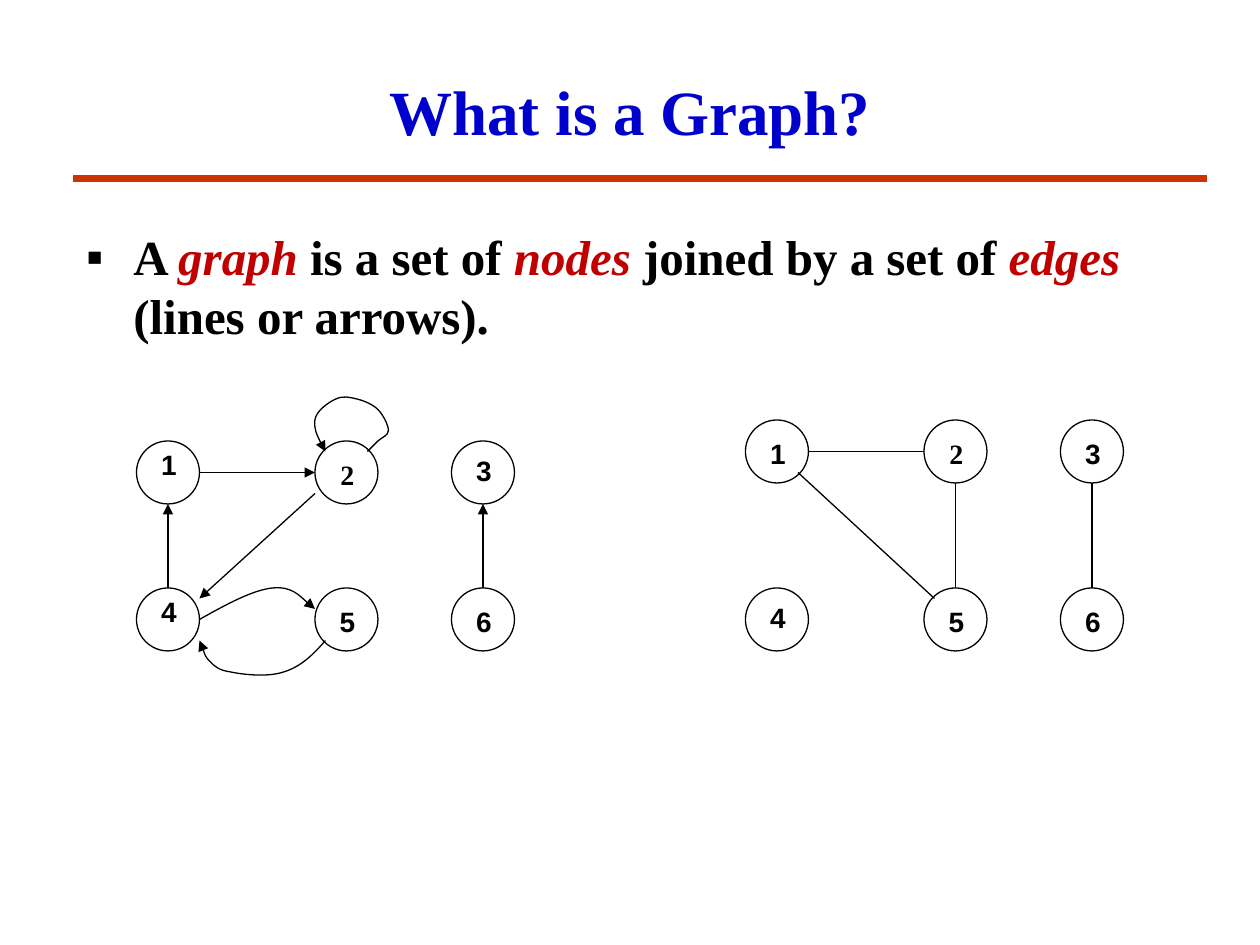
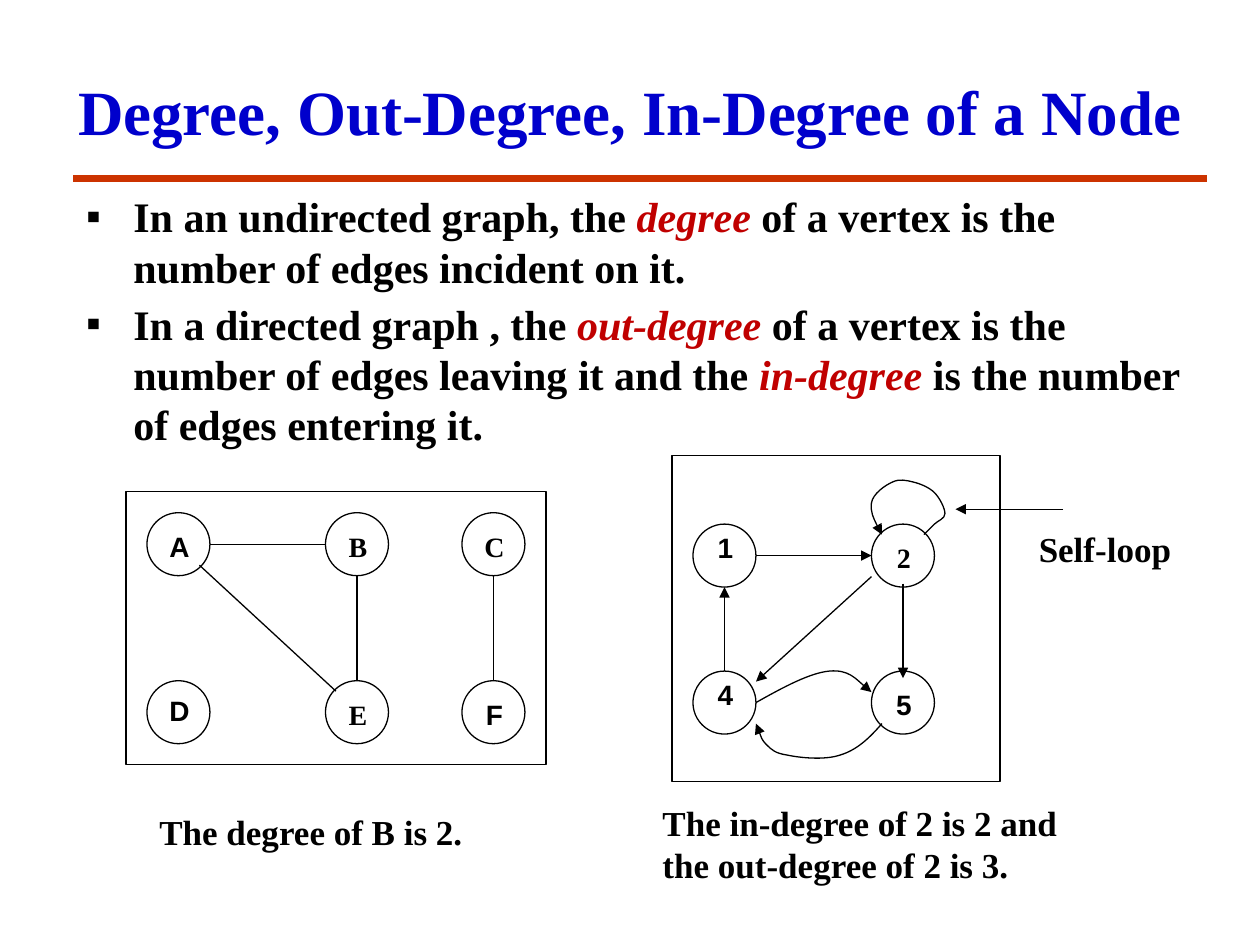
from pptx import Presentation
from pptx.dml.color import RGBColor
from pptx.enum.shapes import MSO_CONNECTOR, MSO_SHAPE
from pptx.enum.text import MSO_ANCHOR, MSO_AUTO_SIZE, PP_ALIGN
from pptx.oxml.ns import qn
from pptx.util import Pt
from lxml.etree import SubElement

BLACK, BLUE, RED, RUST = "000000", "0000CC", "C00000", "CC3300"
SERIF, SANS = "Times New Roman", "Arial"

# Graph grid, in points from the first node's top left corner
SIZE = 36
COLS = (0, 102, 180)
SERIFS = "2BCE"  # labels set in the serif font

# Label drops below the node's top, in reading order
DIDROPS = (0, 6, 3.5, 0, 6, 6)
UNDROPS = (6, 6, 6, 3.5, 6, 6)

# Edges: start x, start y, end x, end y
DILINES = [(18, 84, 18, 36), (36, 18, 102, 18), (102, 30, 36, 90)]
UNLINES = [(30, 30, 108, 102), (36, 18, 102, 18),
           (120, 96, 120, 36), (198, 96, 198, 36)]

# Curved edges: a start, then three points for each cubic piece
LOOP = [(132, 6), (133, 5), (136, 2), (138, 0), (140, -2), (144, -3),
        (144, -6), (144, -9), (141, -15), (138, -18), (135, -21),
        (130, -23), (126, -24), (122, -25), (118, -26), (114, -24),
        (110, -22.3), (102.7, -17.3), (102, -12), (101.3, -7.2),
        (104.2, -0.7), (108, 6)]
OVER = [(36, 102), (52, 93), (67, 85), (78, 84), (89, 83), (98, 93),
        (102, 96)]
UNDER = [(108, 114), (101, 122), (94, 129), (84, 132), (75, 135),
         (61, 133.5), (54, 132), (47, 131), (45, 129), (42, 126),
         (39, 123), (37, 116), (36, 114)]


def color(code):
    return RGBColor.from_string(code)


def place(shape, x, y, w, h):
    shape.left, shape.top, shape.width, shape.height = map(Pt, (x, y, w, h))


def write(para, text, size, font=SERIF, code=BLACK, slant=False):
    run = para.add_run()
    run.text = text
    run.font.size, run.font.name = Pt(size), font
    run.font.bold, run.font.italic = True, slant
    run.font.color.rgb = color(code)


def stroke(shape, code=BLACK, width=0.75, arrow=False):
    shape.line.color.rgb = color(code)
    shape.line.width = Pt(width)
    if arrow:
        edge = shape._element.spPr.find(qn("a:ln"))
        SubElement(edge, qn("a:tailEnd"), type="triangle")


def line(slide, x1, y1, x2, y2, code=BLACK, width=0.75, arrow=False):
    link = slide.shapes.add_connector(
        MSO_CONNECTOR.STRAIGHT, Pt(x1), Pt(y1), Pt(x2), Pt(y2))
    stroke(link, code, width, arrow)
    SubElement(link._element.spPr, qn("a:effectLst"))


def curve(slide, x, y, points):
    """Draw an arrow along cubic pieces."""
    spots = [(Pt(x + dx), Pt(y + dy)) for dx, dy in points]
    pen = slide.shapes.build_freeform(*spots[0])
    pen.add_line_segments(spots[1:], close=False)
    shape = pen.convert_to_shape()
    shape.fill.background()
    shape.shadow.inherit = False
    stroke(shape, arrow=True)
    # Turn each three straight steps into one cubic piece
    track = next(shape._element.iter(qn("a:path")))
    steps = track.findall(qn("a:lnTo"))
    for i in range(0, len(steps), 3):
        piece = SubElement(track, qn("a:cubicBezTo"))
        for step in steps[i:i + 3]:
            piece.append(step[0])
            track.remove(step)


def outline(slide, kind, x, y, w, h):
    shape = slide.shapes.add_shape(kind, Pt(x), Pt(y), Pt(w), Pt(h))
    shape.fill.background()
    shape.shadow.inherit = False
    stroke(shape)


def note(slide, x, y, w, h, lines, size=20, font=SERIF, align=PP_ALIGN.LEFT):
    box = slide.shapes.add_textbox(Pt(x), Pt(y), Pt(w), Pt(h))
    box.text_frame.word_wrap = False
    para = box.text_frame.paragraphs[0]
    para.alignment = align
    for i, text in enumerate(lines):
        if i:
            para.add_line_break()
        write(para, text, size, font)


def nodes(slide, x, y, step, labels, drops):
    """Draw two rows of three nodes; a blank label leaves a gap."""
    for i, (label, drop) in enumerate(zip(labels, drops)):
        if label == " ":
            continue
        left, top = x + COLS[i % 3], y + i // 3 * step
        outline(slide, MSO_SHAPE.OVAL, left, top, SIZE, SIZE)
        note(slide, left + 5.5, top + drop, 26, 26.5, [label], 16,
             SERIF if label in SERIFS else SANS, PP_ALIGN.CENTER)


def edges(slide, x, y, ends, arrow):
    for x1, y1, x2, y2 in ends:
        line(slide, x + x1, y + y1, x + x2, y + y2, arrow=arrow)


def digraph(slide, x, y, labels, extra):
    nodes(slide, x, y, 84, labels, DIDROPS)
    edges(slide, x, y, DILINES + [extra], True)
    for points in (LOOP, OVER, UNDER):
        curve(slide, x, y, points)


def ungraph(slide, x, y, labels):
    nodes(slide, x, y, 96, labels, UNDROPS)
    edges(slide, x, y, UNLINES, False)


def start(deck, title):
    """Add a slide with its title and the rule below it."""
    slide = deck.slides.add_slide(deck.slide_layouts[1])
    head = slide.shapes.title
    place(head, 36, 30, 648, 66)
    frame = head.text_frame
    frame.auto_size = MSO_AUTO_SIZE.NONE
    frame.vertical_anchor = MSO_ANCHOR.MIDDLE
    para = frame.paragraphs[0]
    para.alignment = PP_ALIGN.CENTER
    write(para, title, 36, code=BLUE)
    line(slide, 42, 102, 690, 102, RUST, 4.5)
    return slide


def bullets(slide, area, items, size, before, after):
    """Fill the body; every second run of an item is a key term."""
    body = slide.placeholders[1]
    place(body, *area)
    frame = body.text_frame
    frame.auto_size = MSO_AUTO_SIZE.NONE
    frame.vertical_anchor = MSO_ANCHOR.TOP
    for i, item in enumerate(items):
        para = frame.add_paragraph() if i else frame.paragraphs[0]
        para.space_before, para.space_after = Pt(before), Pt(after)
        props = para._p.get_or_add_pPr()
        props.set("marL", str(Pt(27)))
        props.set("indent", str(-Pt(27)))
        tint = SubElement(props, qn("a:buClr"))
        SubElement(tint, qn("a:srgbClr"), val=BLACK)
        SubElement(props, qn("a:buChar"), char="▪")
        for j, text in enumerate(item):
            key = j % 2 == 1
            write(para, text, size, code=RED if key else BLACK, slant=key)


def intro(deck):
    slide = start(deck, "What is a Graph?")
    bullets(slide, (42, 126, 624, 354), [
        ("A ", "graph", " is a set of ", "nodes", " joined by a set of ",
         "edges", " (lines or arrows)."),
    ], 28, 7, 0)
    digraph(slide, 78, 252, "123456", (198, 84, 198, 36))
    ungraph(slide, 426, 240, "123456")


def degree(deck):
    slide = start(deck, "Degree, Out-Degree, In-Degree of a Node")
    bullets(slide, (42, 105.5, 654, 154), [
        ("In an undirected graph, the ", "degree",
         " of a vertex is the number of edges incident on it."),
        ("In a directed graph , the ", "out-degree ",
         "of a vertex is the number of edges leaving it and the ",
         "in-degree ", "is the number of edges entering it."),
    ], 24, 0, 3.6)

    # Undirected example
    outline(slide, MSO_SHAPE.RECTANGLE, 72, 281, 240, 156)
    ungraph(slide, 84, 293, "ABCDEF")
    note(slide, 84, 459.5, 188, 31.5, ["The degree of B is 2."])

    # Directed example
    outline(slide, MSO_SHAPE.RECTANGLE, 384, 260.5, 187.5, 186)
    digraph(slide, 396, 299.5, "12 45 ", (120, 34, 120, 88))
    note(slide, 371.5, 454.5, 240.5, 55.5,
         ["The in-degree of 2 is 2 and", "the out-degree of 2 is 3."])

    # Self-loop pointer
    line(slide, 607.5, 291, 546, 291, arrow=True)
    note(slide, 586.5, 298, 90, 31.5, ["Self-loop"])


def main():
    deck = Presentation()
    deck.slide_width, deck.slide_height = Pt(720), Pt(540)
    intro(deck)
    degree(deck)
    deck.save("out.pptx")


if __name__ == "__main__":
    main()
